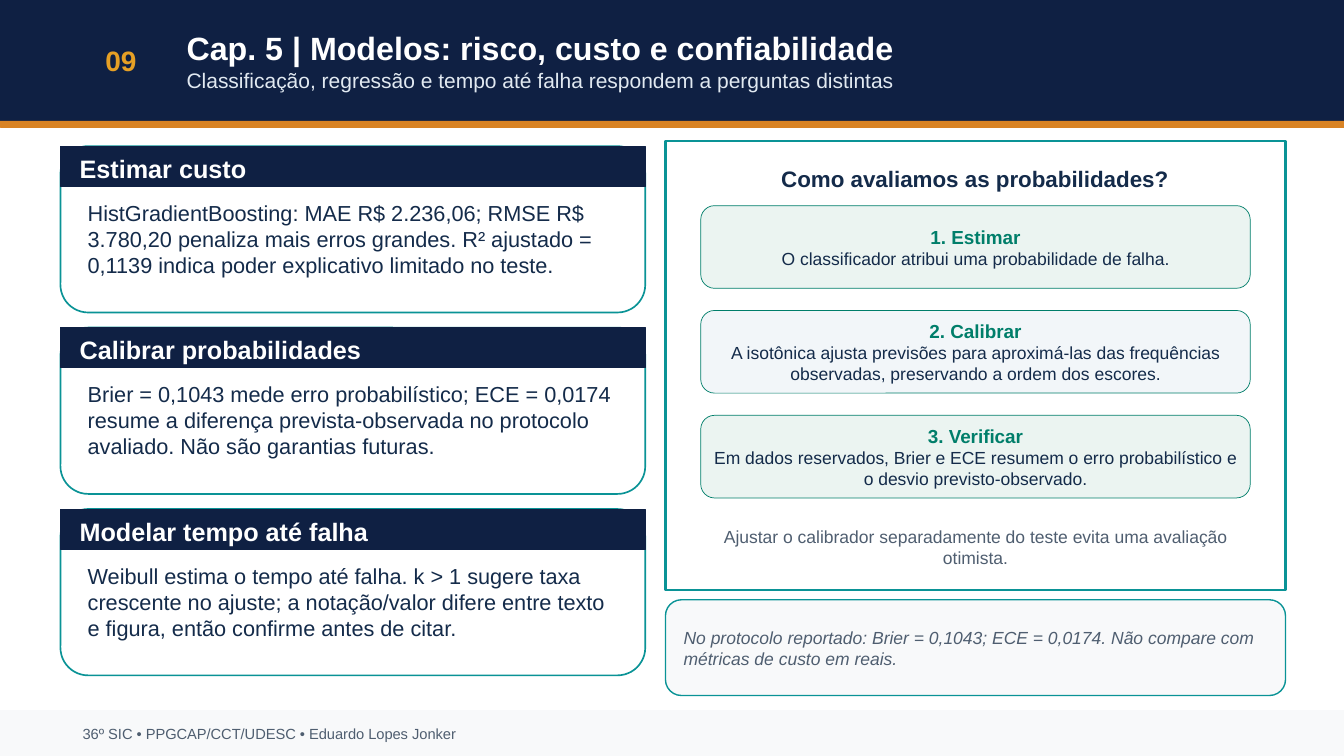
from pptx import Presentation
from pptx.dml.color import RGBColor
from pptx.enum.shapes import MSO_SHAPE
from pptx.enum.text import MSO_ANCHOR, MSO_AUTO_SIZE, PP_ALIGN
from pptx.util import Inches, Pt

RECT, ROUNDED = MSO_SHAPE.RECTANGLE, MSO_SHAPE.ROUNDED_RECTANGLE
LEFT, CENTER = PP_ALIGN.LEFT, PP_ALIGN.CENTER
TOP, MIDDLE = MSO_ANCHOR.TOP, MSO_ANCHOR.MIDDLE

FONT = "Arial"
COLORS = {
    "navy": "0F2043", "orange": "D98324", "gold": "E6A025", "white": "FFFFFF",
    "ice": "E1E9F1", "pale": "F8F9FA", "gray": "4F5E70", "teal": "0A9396",
    "ink": "142B4A", "green": "007E6A", "mint": "EBF4F1", "mist": "F2F6F9",
}
SLIDE_WIDTH = 13.33

CARDS = [
    ("Estimar custo",
     "HistGradientBoosting: MAE R$ 2.236,06; RMSE R$ 3.780,20 penaliza mais erros "
     "grandes. R² ajustado = 0,1139 indica poder explicativo limitado no teste."),
    ("Calibrar probabilidades",
     "Brier = 0,1043 mede erro probabilístico; ECE = 0,0174 resume a diferença "
     "prevista-observada no protocolo avaliado. Não são garantias futuras."),
    ("Modelar tempo até falha",
     "Weibull estima o tempo até falha. k > 1 sugere taxa crescente no ajuste; "
     "a notação/valor difere entre texto e figura, então confirme antes de citar."),
]
STEPS = [
    ("1. Estimar", "O classificador atribui uma probabilidade de falha.", "mint"),
    ("2. Calibrar",
     "A isotônica ajusta previsões para aproximá-las das frequências observadas, "
     "preservando a ordem dos escores.", "mist"),
    ("3. Verificar",
     "Em dados reservados, Brier e ECE resumem o erro probabilístico e o desvio "
     "previsto-observado.", "mint"),
]


def color(name):
    return RGBColor.from_string(COLORS[name])


def line(text, size, color_name, bold=False, italic=False):
    return text, size, color_name, bold, italic


def write(shape, lines, insets, align=LEFT, anchor=MIDDLE):
    """Fill a shape with one paragraph per line; insets are left, top, right, bottom."""
    frame = shape.text_frame
    frame.word_wrap = True
    frame.auto_size = MSO_AUTO_SIZE.NONE
    frame.vertical_anchor = anchor
    (frame.margin_left, frame.margin_top,
     frame.margin_right, frame.margin_bottom) = map(Inches, insets)
    frame.text = "\n".join(text for text, *_ in lines)
    for para, (_, size, color_name, bold, italic) in zip(frame.paragraphs, lines):
        para.alignment = align
        font = para.font
        font.name, font.size = FONT, Pt(size)
        font.bold, font.italic = bold, italic
        font.color.rgb = color(color_name)


def add_panel(page, kind, bounds, fill, outline, width=0.5):
    panel = page.shapes.add_shape(kind, *map(Inches, bounds))
    panel.shadow.inherit = False
    panel.fill.solid()
    panel.fill.fore_color.rgb = color(fill)
    panel.line.color.rgb = color(outline)
    panel.line.width = Pt(width)
    return panel


def add_text(page, bounds, lines, insets, align=LEFT, anchor=MIDDLE):
    box = page.shapes.add_textbox(*map(Inches, bounds))
    write(box, lines, insets, align, anchor)


def add_header(page):
    add_panel(page, RECT, (0, 0, SLIDE_WIDTH, 1.2), "navy", "navy")
    add_panel(page, RECT, (0, 1.2, SLIDE_WIDTH, 0.06), "orange", "orange")
    add_text(page, (0.6, 0.15, 1.2, 0.9), [line("09", 20, "gold", bold=True)],
             (0.07, 0.04, 0.07, 0.04), CENTER)
    title = page.shapes.title
    title.left, title.top, title.width, title.height = map(Inches, (1.8, 0.15, 11, 0.9))
    write(title, [
        line("Cap. 5 | Modelos: risco, custo e confiabilidade", 23, "white", bold=True),
        line("Classificação, regressão e tempo até falha respondem a perguntas distintas",
             15, "ice"),
    ], (0.05, 0.02, 0.05, 0.02))
    # Bring the title in front of the header band.
    title.element.getparent().append(title.element)


def add_footer(page):
    add_panel(page, RECT, (0, 7.05, SLIDE_WIDTH, 0.45), "pale", "pale")
    add_text(page, (0.8, 7.1, 11.7, 0.35),
             [line("36º SIC • PPGCAP/CCT/UDESC • Eduardo Lopes Jonker", 10.5, "gray")],
             (0.02, 0, 0.02, 0))


def add_card(page, top, heading, body):
    add_panel(page, ROUNDED, (0.6, top, 5.8, 1.65), "white", "teal", 1.2)
    add_panel(page, RECT, (0.6, top, 5.8, 0.4), "navy", "navy")
    add_text(page, (0.7, top + 0.02, 5.6, 0.4), [line(heading, 18, "white", bold=True)],
             (0.09, 0.02, 0.08, 0.02))
    add_text(page, (0.75, top + 0.45, 5.5, 1.15), [line(body, 15.5, "ink")],
             (0.12, 0.08, 0.12, 0.06), anchor=TOP)


def add_step(page, top, heading, body, fill):
    step = add_panel(page, ROUNDED, (6.95, top, 5.45, 0.82), fill, "green")
    write(step, [line(heading, 13.5, "green", bold=True), line(body, 12.5, "ink")],
          (0.08, 0.03, 0.08, 0.03), CENTER)


def add_evaluation(page):
    add_panel(page, RECT, (6.6, 1.4, 6.15, 4.45), "white", "teal", 1.5)
    add_text(page, (6.82, 1.58, 5.7, 0.38),
             [line("Como avaliamos as probabilidades?", 16, "ink", bold=True)],
             (0.07, 0.04, 0.07, 0.04), CENTER)
    for index, step in enumerate(STEPS):
        add_step(page, 2.04 + 1.04 * index, *step)
    add_text(page, (6.9, 5.22, 5.55, 0.42),
             [line("Ajustar o calibrador separadamente do teste evita uma avaliação "
                   "otimista.", 12.5, "gray")],
             (0.03, 0.01, 0.03, 0.01), CENTER)


def add_note(page):
    add_panel(page, ROUNDED, (6.6, 5.95, 6.15, 0.95), "pale", "teal", 1)
    add_text(page, (6.7, 6, 6.05, 0.85),
             [line("No protocolo reportado: Brier = 0,1043; ECE = 0,0174. Não compare "
                   "com métricas de custo em reais.", 12.5, "gray", italic=True)],
             (0.08, 0.04, 0.08, 0.04))


def main():
    deck = Presentation()
    deck.slide_width, deck.slide_height = Inches(SLIDE_WIDTH), Inches(7.5)
    page = deck.slides.add_slide(deck.slide_layouts.get_by_name("Title Only"))
    add_header(page)
    add_footer(page)
    for index, card in enumerate(CARDS):
        add_card(page, 1.45 + 1.8 * index, *card)
    add_evaluation(page)
    add_note(page)
    deck.save("out.pptx")


if __name__ == "__main__":
    main()
